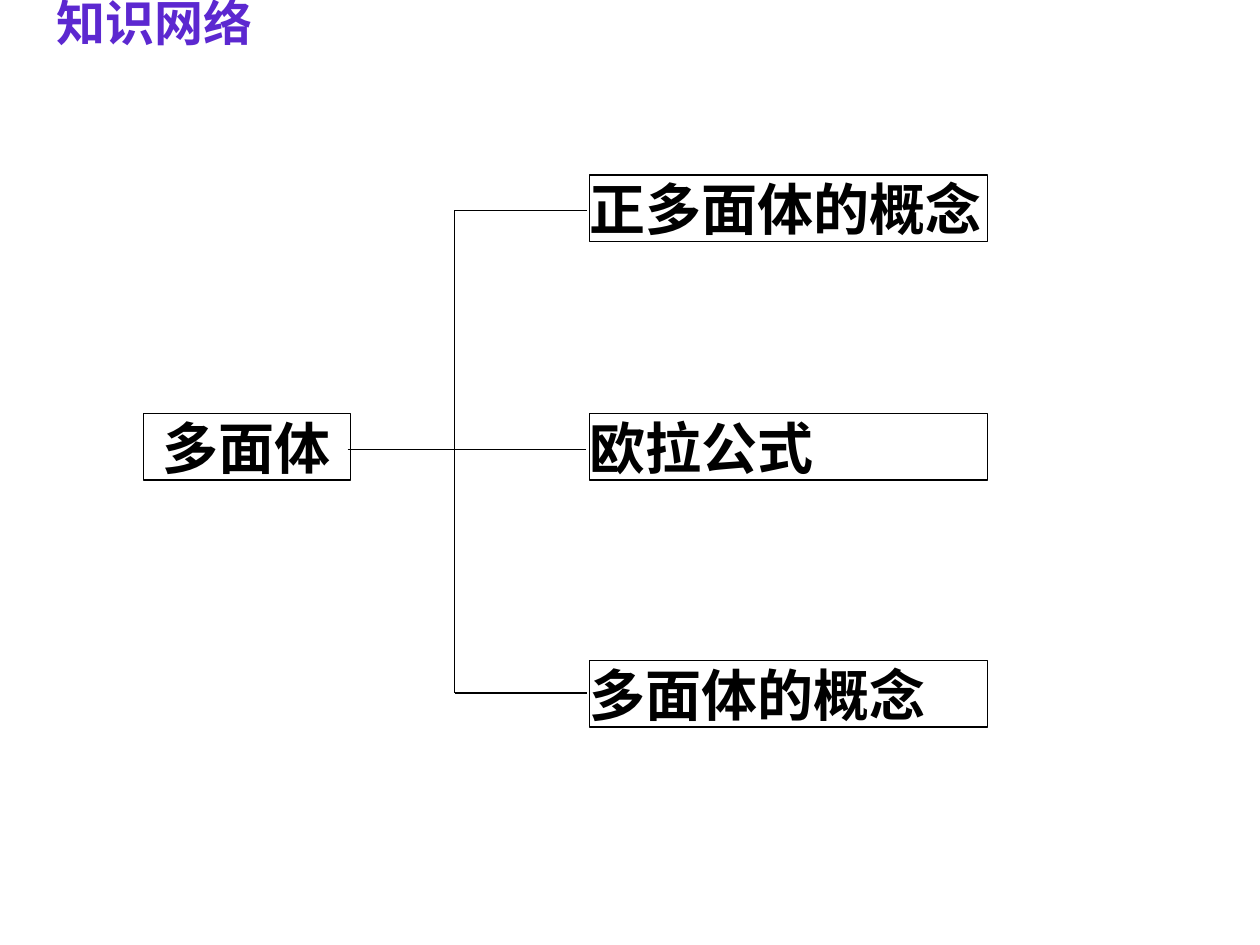
from dataclasses import dataclass

from lxml import etree
from pptx import Presentation
from pptx import util as u
from pptx.dml.color import RGBColor
from pptx.enum import shapes, text
from pptx.oxml.ns import qn

COLUMNS, ROWS = 100, 75  # square grid cells over the whole slide


@dataclass(frozen=True)
class Theme:
    font: str = "Times New Roman"
    title_size: int = 28
    node_size: int = 32
    line_width: float = 0.75
    title: RGBColor = RGBColor(0x5C, 0x28, 0xD0)
    ink: RGBColor = RGBColor(0, 0, 0)


@dataclass(frozen=True)
class Node:
    """A boxed term, placed in grid columns and rows."""
    label: str
    column: float
    row: float
    width: float
    alignment: text.PP_ALIGN = text.PP_ALIGN.JUSTIFY
    height: float = 5.3


@dataclass(frozen=True)
class Link:
    start: tuple[float, float]
    end: tuple[float, float]


THEME = Theme()
BRANCH_COLUMN, BRANCH_WIDTH = 46.8, 31.6
SPINE_COLUMN, LINK_END = 36.1, 46.6
TOP_LINK, MIDDLE_LINK, BOTTOM_LINK = 16.7, 35.7, 55

NODES = [Node("多面体", 11.4, 32.8, 16.4, text.PP_ALIGN.CENTER)] + [
    Node(label, BRANCH_COLUMN, row, BRANCH_WIDTH)
    for label, row in (("正多面体的概念", 13.9), ("欧拉公式", 32.8), ("多面体的概念", 52.4))
]
LINKS = [
    Link((27.6, MIDDLE_LINK), (46.5, MIDDLE_LINK)),
    Link((LINK_END, TOP_LINK), (SPINE_COLUMN, TOP_LINK)),
    Link((SPINE_COLUMN, TOP_LINK), (SPINE_COLUMN, BOTTOM_LINK)),
    Link((SPINE_COLUMN, BOTTOM_LINK), (LINK_END, BOTTOM_LINK)),
]


def cells(*counts: float) -> list[int]:
    """Turn counts of grid cells into slide lengths."""
    return [u.Inches(count * 10 / COLUMNS) for count in counts]


def write_text(shape, content: str, size: int, color: RGBColor,
               alignment: text.PP_ALIGN, margins: tuple[float, float]) -> None:
    frame = shape.text_frame
    frame.text = content
    frame.word_wrap = True
    frame.auto_size = text.MSO_AUTO_SIZE.NONE
    frame.vertical_anchor = text.MSO_ANCHOR.MIDDLE
    frame.margin_left = frame.margin_right = u.Inches(margins[0])
    frame.margin_top = frame.margin_bottom = u.Inches(margins[1])
    paragraph = frame.paragraphs[0]
    paragraph.alignment = alignment
    paragraph.space_before = u.Pt(0)
    for run in paragraph.runs:
        run.font.name = THEME.font
        run.font.size = u.Pt(size)
        run.font.bold = True
        run.font.color.rgb = color


def style_line(shape) -> None:
    shape.line.color.rgb = THEME.ink
    shape.line.width = u.Pt(THEME.line_width)


def draw_title(slide, content: str) -> None:
    title = slide.shapes.title
    title.left, title.top, title.width, title.height = cells(3.5, -1.1, 22.1, 5.7)
    write_text(title, content, THEME.title_size, THEME.title,
               text.PP_ALIGN.LEFT, (0.1, 0.05))


def draw_node(slide, node: Node) -> None:
    box = slide.shapes.add_shape(
        shapes.MSO_SHAPE.RECTANGLE,
        *cells(node.column, node.row, node.width, node.height))
    box.shadow.inherit = False
    box.fill.background()
    style_line(box)
    write_text(box, node.label, THEME.node_size, THEME.ink, node.alignment, (0, 0))


def draw_link(slide, link: Link) -> None:
    connector = slide.shapes.add_connector(
        shapes.MSO_CONNECTOR.STRAIGHT, *cells(*link.start, *link.end))
    style_line(connector)
    etree.SubElement(connector._element.spPr, qn("a:effectLst"))


def main() -> None:
    presentation = Presentation()
    presentation.slide_width, presentation.slide_height = cells(COLUMNS, ROWS)
    slide = presentation.slides.add_slide(presentation.slide_layouts[5])
    draw_title(slide, "知识网络")
    for node in NODES:
        draw_node(slide, node)
    for link in LINKS:
        draw_link(slide, link)
    presentation.save("out.pptx")


if __name__ == "__main__":
    main()
